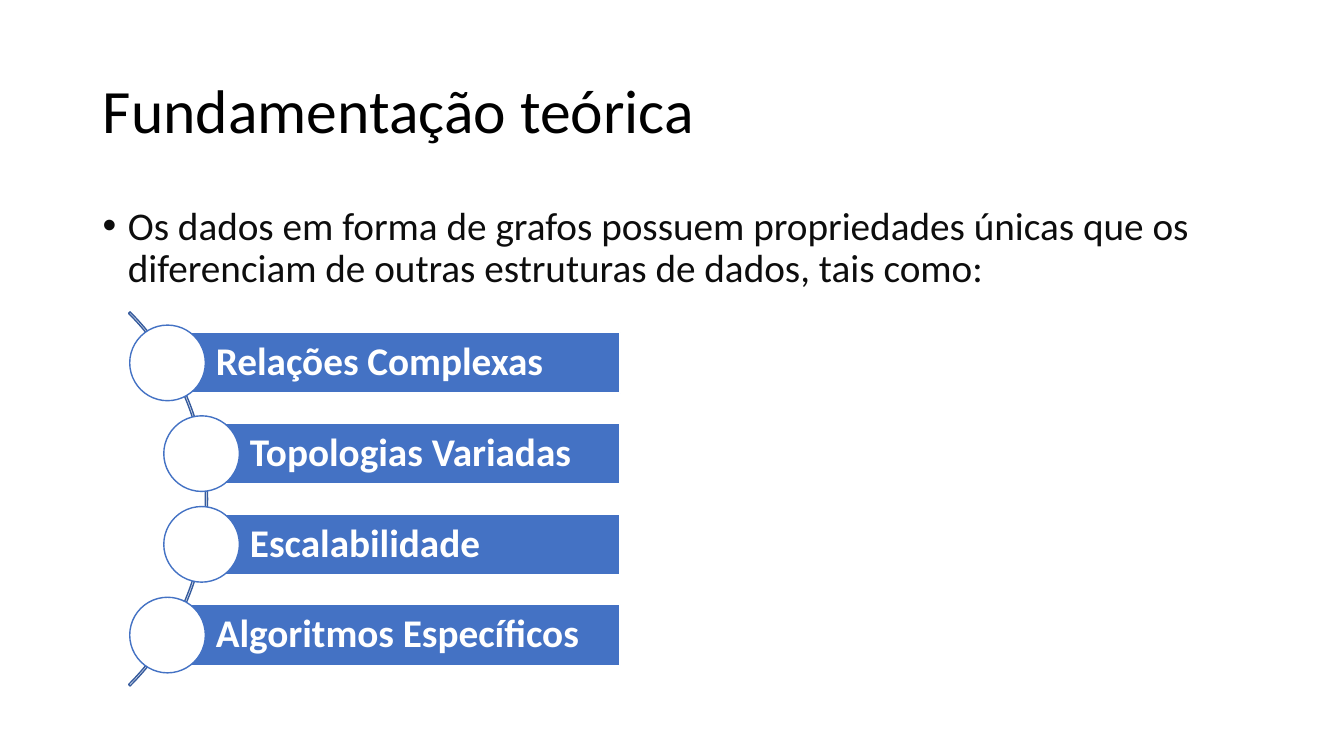
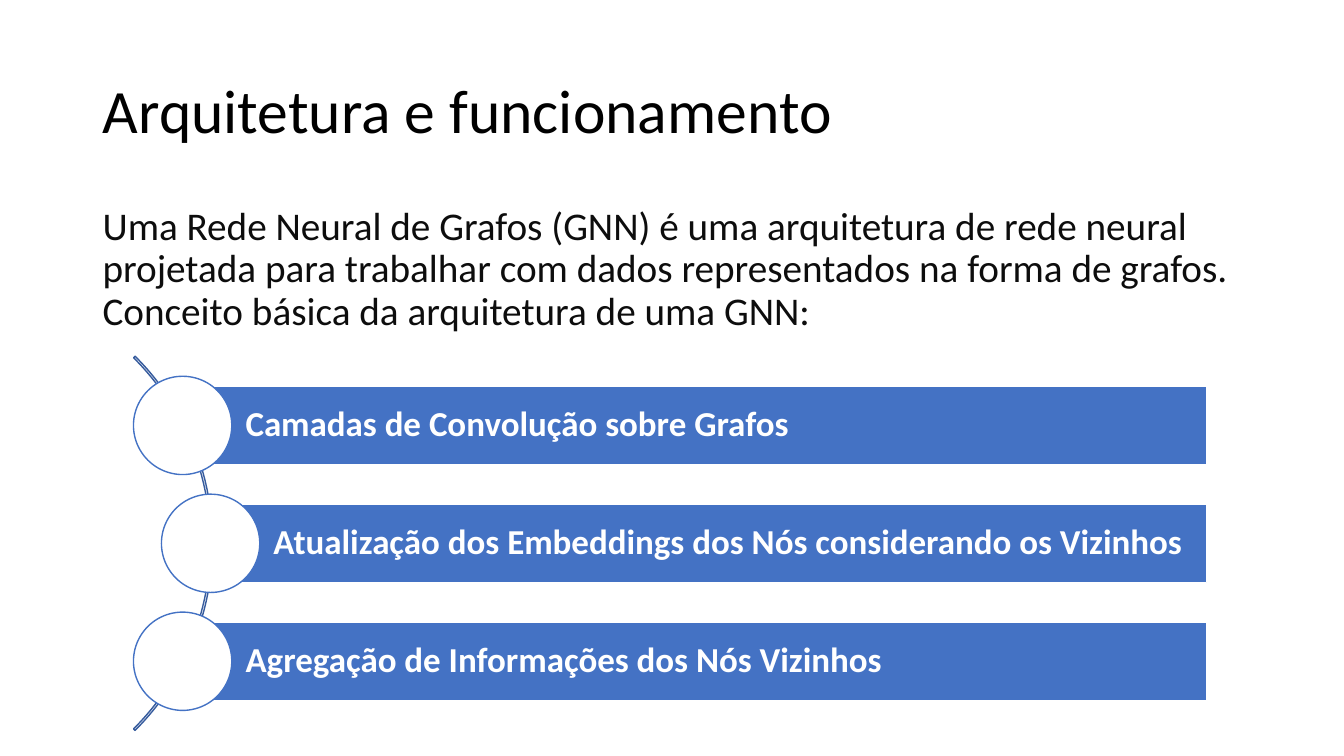
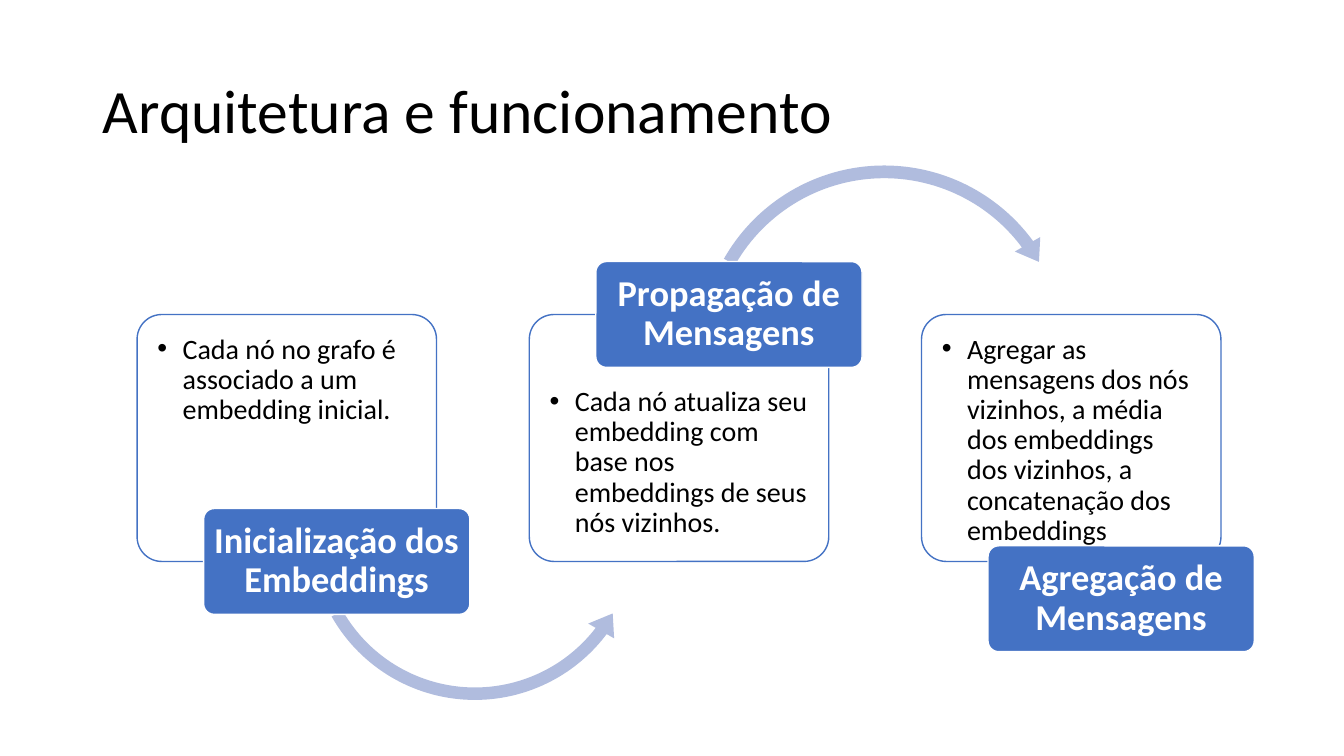
from dataclasses import dataclass
from math import cos, pi, sqrt

from lxml import etree
from pptx import Presentation
from pptx import util as u
from pptx.dml.color import RGBColor
from pptx.enum import shapes, text
from pptx.oxml.ns import qn

KIND = shapes.MSO_SHAPE
ALIGN = text.PP_ALIGN
ANCHOR = text.MSO_ANCHOR


@dataclass(frozen=True)
class Theme:
    font: str = "Calibri"
    black: str = "000000"
    ink: str = "0D0D0D"
    white: str = "FFFFFF"
    blue: str = "4472C4"
    dark: str = "365B9D"
    pale: str = "B0BCDE"
    head: int = 44
    body: int = 28
    label: int = 26
    small: int = 25
    note: int = 20


T = Theme()


# Shared helpers
def rgb(code):
    return RGBColor.from_string(code)


def lay(box):
    return [u.Inches(v) for v in box]


def put(shape, words, size=T.body, color=T.black, bold=False, align=ALIGN.LEFT,
        anchor=ANCHOR.TOP, pad=(0.1, 0.05, 0.1, 0.05), before=0, bullet=False):
    frame = shape.text_frame
    frame.word_wrap = True
    frame.auto_size = text.MSO_AUTO_SIZE.NONE
    frame.vertical_anchor = anchor
    (frame.margin_left, frame.margin_top,
     frame.margin_right, frame.margin_bottom) = lay(pad)
    para = frame.paragraphs[0]
    para.alignment = align
    para.line_spacing = 0.9
    para.space_before = u.Pt(before)
    run = para.add_run()
    run.text = words
    font = run.font
    font.name, font.size, font.bold = T.font, u.Pt(size), bold
    font.color.rgb = rgb(color)
    if bullet:
        props = para._p.get_or_add_pPr()
        props.set("marL", str(u.Inches(0.25)))
        props.set("indent", str(u.Inches(-0.25)))
        face = etree.SubElement(props, qn("a:buFont"))
        face.set("typeface", "Arial")
        etree.SubElement(props, qn("a:buChar")).set("char", "•")


def draw(slide, kind, box, fill=None, line=None, adj=(), alpha=None):
    shape = slide.shapes.add_shape(kind, *lay(box))
    shape.shadow.inherit = False
    for i, value in enumerate(adj):
        shape.adjustments[i] = value
    if fill:
        shape.fill.solid()
        shape.fill.fore_color.rgb = rgb(fill)
        if alpha:
            tint = shape._element.spPr.find(".//" + qn("a:srgbClr"))
            etree.SubElement(tint, qn("a:alpha")).set("val", str(alpha * 1000))
    else:
        shape.fill.background()
    if line:
        shape.line.color.rgb = rgb(line)
        shape.line.width = u.Pt(1)
    else:
        shape.line.fill.background()
    return shape


def start(deck, title):
    slide = deck.slides.add_slide(deck.slide_layouts[5])
    head = slide.shapes.title
    head.left, head.top, head.width, head.height = lay((0.92, 0.4, 11.5, 1.45))
    put(head, title, size=T.head, anchor=ANCHOR.MIDDLE)
    return slide


def intro(slide, box, words, bullet=False):
    area = slide.shapes.add_textbox(*lay(box))
    put(area, words, color=T.ink, before=10, bullet=bullet)


# Bars whose dots sit along an arc
def ladder(slide, box, items, size):
    left, top, width, height = box
    count = len(items)
    bar = height / (1.5 * count + 0.5)
    dot = 1.25 * bar
    rad = 0.673 * height
    mid_x, mid_y = left - rad * cos(pi / 4), top + height / 2
    draw(slide, KIND.BLOCK_ARC, (mid_x - rad, mid_y - rad, 2 * rad, 2 * rad),
         line=T.dark, adj=(189, 27, 0.004))
    for i, words in enumerate(items):
        rise = (i - (count - 1) / 2) * 1.5 * bar
        x, y = mid_x + sqrt((rad - 0.02) ** 2 - rise ** 2), mid_y + rise
        strip = draw(slide, KIND.RECTANGLE,
                     (x, y - bar / 2, left + width - x, bar), T.blue, T.white)
        put(strip, words, size=size, color=T.white, bold=True,
            anchor=ANCHOR.MIDDLE, pad=(0.8 * bar, 0.07, 0.07, 0.07))
        draw(slide, KIND.OVAL, (x - dot / 2, y - dot / 2, dot, dot),
             T.white, T.blue)


# One card with a label across its top or bottom edge
def card(slide, box, note, label, high=False, drop=0, arrow=None):
    x, y, w, h = box
    panel = draw(slide, KIND.ROUNDED_RECTANGLE, box, T.white, T.blue,
                 adj=(0.1,), alpha=90)
    put(panel, note, size=T.note, bullet=True,
        pad=(0.13, 0.65 if high else 0.13, 0.13, 0.13))
    if arrow:
        kind, dx, dy, side, adj = arrow
        draw(slide, kind, (x + dx, y + dy, side, side), T.pale, adj=adj)
    tall = 1.05
    edge = y if high else y + h + drop
    tag = draw(slide, KIND.ROUNDED_RECTANGLE,
               (x + 0.66, edge - tall / 2, 2.64, tall), T.blue, T.white,
               adj=(0.1,))
    put(tag, label, size=T.label, color=T.white, bold=True, align=ALIGN.CENTER,
        anchor=ANCHOR.MIDDLE, pad=(0.05, 0.04, 0.05, 0.04))


def flow(slide, box, steps):
    left, top, width, height = box
    wide = 2.97
    pitch = (width - wide) / (len(steps) - 1)
    for i, step in enumerate(steps):
        card(slide, (left + i * pitch, top, wide, height), **step)


# Slides
def theory(deck):
    slide = start(deck, "Fundamentação teórica")
    intro(slide, (0.92, 2, 11.5, 4.76),
          "Os dados em forma de grafos possuem propriedades únicas que os "
          "diferenciam de outras estruturas de dados, tais como:", bullet=True)
    ladder(slide, (1.29, 3, 4.86, 3.9),
           ["Relações Complexas", "Topologias Variadas", "Escalabilidade",
            "Algoritmos Específicos"], T.body)


def layers(deck):
    slide = start(deck, "Arquitetura e funcionamento")
    intro(slide, (0.92, 2, 11.5, 4.76),
          "Uma Rede Neural de Grafos (GNN) é uma arquitetura de rede neural "
          "projetada para trabalhar com dados representados na forma de "
          "grafos. Conceito básica da arquitetura de uma GNN:")
    ladder(slide, (1.34, 3.44, 10.63, 3.9),
           ["Camadas de Convolução sobre Grafos",
            "Atualização dos Embeddings dos Nós considerando os Vizinhos",
            "Agregação de Informações dos Nós Vizinhos"], T.small)


def process(deck):
    slide = start(deck, "Arquitetura e funcionamento")
    under = (KIND.LEFT_CIRCULAR_ARROW, 1.63, 0.47, 3.44,
             (0.036, 4.545, 22.3, 90.245, 0.043))
    over = (KIND.CIRCULAR_ARROW, 1.61, -1.56, 3.82,
            (0.033, 4.059, 194.186, 125.755, 0.038))
    flow(slide, (1.36, 3.12, 10.75, 2.45), [
        dict(note="Cada nó no grafo é associado a um embedding inicial.",
             label="Inicialização dos Embeddings", arrow=under),
        dict(note="Cada nó atualiza seu embedding com base nos embeddings de "
                  "seus nós vizinhos.",
             label="Propagação de Mensagens", high=True, arrow=over),
        dict(note="Agregar as mensagens dos nós vizinhos, a média dos "
                  "embeddings dos vizinhos, a concatenação dos embeddings",
             label="Agregação de Mensagens", drop=0.37),
    ])


def main():
    deck = Presentation()
    deck.slide_width, deck.slide_height = lay((13.33, 7.5))
    for build in (theory, layers, process):
        build(deck)
    deck.save("out.pptx")


if __name__ == "__main__":
    main()
